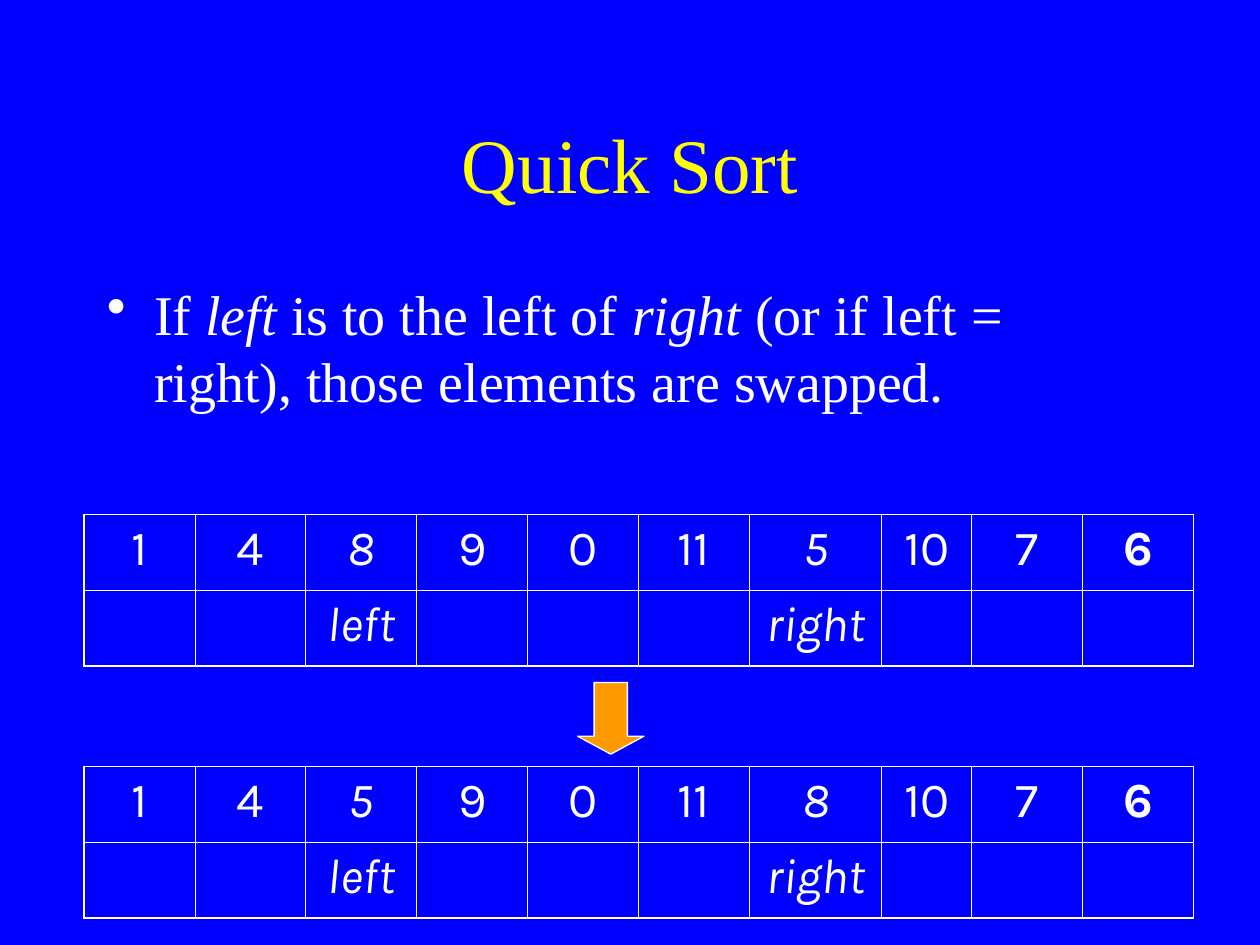
from lxml.etree import SubElement
from pptx import Presentation
from pptx.dml.color import RGBColor
from pptx.enum.shapes import MSO_SHAPE
from pptx.enum.text import MSO_ANCHOR, PP_ALIGN
from pptx.oxml.ns import qn
from pptx.util import Pt

COLORS = {
    "background": "0000FF",
    "title": "FFFF00",
    "text": "FFFFFF",
    "line": "FFFFFF",
    "arrow": "FF9900",
}
SERIF, SANS = "Times New Roman", "Karla"
COLUMN_WIDTHS = [63.4] * 6 + [75.6, 51.4] + [63.4] * 2
ROW_HEIGHT = 43.2
OUTER_LINE, INNER_LINE = 1.08, 0.45
LEFT, RIGHT = 2, 6  # columns the two markers stand at
TABLE_LEFT, TABLE_WIDTH = 48, sum(COLUMN_WIDTHS)


def rgb(key):
    return RGBColor.from_string(COLORS[key])


def put_text(frame, text, size, font=SERIF, color="text", align=PP_ALIGN.LEFT,
             bold=False, italic=(), bullet=None, indent=0):
    """Write one paragraph; text is a list of runs, italic the indexes of slanted runs."""
    paragraph = frame.paragraphs[0]
    paragraph.alignment = align
    if bullet:
        properties = paragraph._p.get_or_add_pPr()
        properties.set("marL", str(Pt(indent)))
        properties.set("indent", str(-Pt(indent)))
        SubElement(properties, qn("a:buChar")).set("char", bullet)
    for index, words in enumerate(text):
        run = paragraph.add_run()
        run.text = words
        run.font.size = Pt(size)
        run.font.name = font
        run.font.bold = bold
        run.font.italic = index in italic
        run.font.color.rgb = rgb(color)


def add_text_box(slide, left, top, width, height, text, anchor=MSO_ANCHOR.TOP, **style):
    frame = slide.shapes.add_textbox(Pt(left), Pt(top), Pt(width), Pt(height)).text_frame
    frame.word_wrap = True
    frame.vertical_anchor = anchor
    put_text(frame, text, **style)


def set_borders(cell, widths):
    """Draw the cell's left, right, top and bottom lines, in that order."""
    properties = cell._tc.get_or_add_tcPr()
    for position, (side, width) in enumerate(zip("LRTB", widths)):
        border = properties.makeelement(qn(f"a:ln{side}"), {"w": str(Pt(width))})
        fill = SubElement(border, qn("a:solidFill"))
        SubElement(fill, qn("a:srgbClr")).set("val", COLORS["line"])
        properties.insert(position, border)


def add_array(slide, left, top, values):
    """Show the array values, with the left and right markers in the row below."""
    markers = [""] * len(values)
    markers[LEFT], markers[RIGHT] = "left", "right"
    rows = [values, markers]
    last_row, last_column = len(rows) - 1, len(values) - 1
    table = slide.shapes.add_table(len(rows), len(values), Pt(left), Pt(top),
                                   Pt(TABLE_WIDTH), Pt(ROW_HEIGHT * len(rows))).table
    table.first_row = table.horz_banding = False
    for column, width in zip(table.columns, COLUMN_WIDTHS):
        column.width = Pt(width)
    for r, row in enumerate(rows):
        table.rows[r].height = Pt(ROW_HEIGHT)
        for c, value in enumerate(row):
            cell = table.cell(r, c)
            cell.fill.background()
            edges = (c == 0, c == last_column, r == 0, r == last_row)
            set_borders(cell, [OUTER_LINE if edge else INNER_LINE for edge in edges])
            if value:
                put_text(cell.text_frame, [value], size=28, font=SANS,
                         align=PP_ALIGN.CENTER, bold=c == last_column,
                         italic=(0,) if c in (LEFT, RIGHT) else ())


def add_step_arrow(slide, left, top, width, height):
    arrow = slide.shapes.add_shape(MSO_SHAPE.DOWN_ARROW, Pt(left), Pt(top),
                                   Pt(width), Pt(height))
    arrow.adjustments[0], arrow.adjustments[1] = 0.5, 0.27
    arrow.shadow.inherit = False
    arrow.fill.solid()
    arrow.fill.fore_color.rgb = rgb("arrow")
    arrow.line.color.rgb = rgb("line")
    arrow.line.width = Pt(0.75)


def main():
    presentation = Presentation()
    presentation.slide_width, presentation.slide_height = Pt(720), Pt(540)
    slide = presentation.slides.add_slide(presentation.slide_layouts[6])
    slide.background.fill.solid()
    slide.background.fill.fore_color.rgb = rgb("background")

    add_text_box(slide, 54, 48, 612, 90, ["Quick Sort"], anchor=MSO_ANCHOR.MIDDLE,
                 size=44, color="title", align=PP_ALIGN.CENTER)
    add_text_box(slide, 54, 156, 612, 324,
                 ["If ", "left", " is to the left of ", "right",
                  " (or if left = right), those elements are swapped."],
                 size=32, italic=(1, 3), bullet="•", indent=27)

    before = ["1", "4", "8", "9", "0", "11", "5", "10", "7", "6"]
    after = before.copy()
    after[LEFT], after[RIGHT] = before[RIGHT], before[LEFT]
    add_array(slide, TABLE_LEFT, 294, before)
    add_step_arrow(slide, 330, 390, 38, 41)
    add_array(slide, TABLE_LEFT, 438, after)

    presentation.save("out.pptx")


if __name__ == "__main__":
    main()
